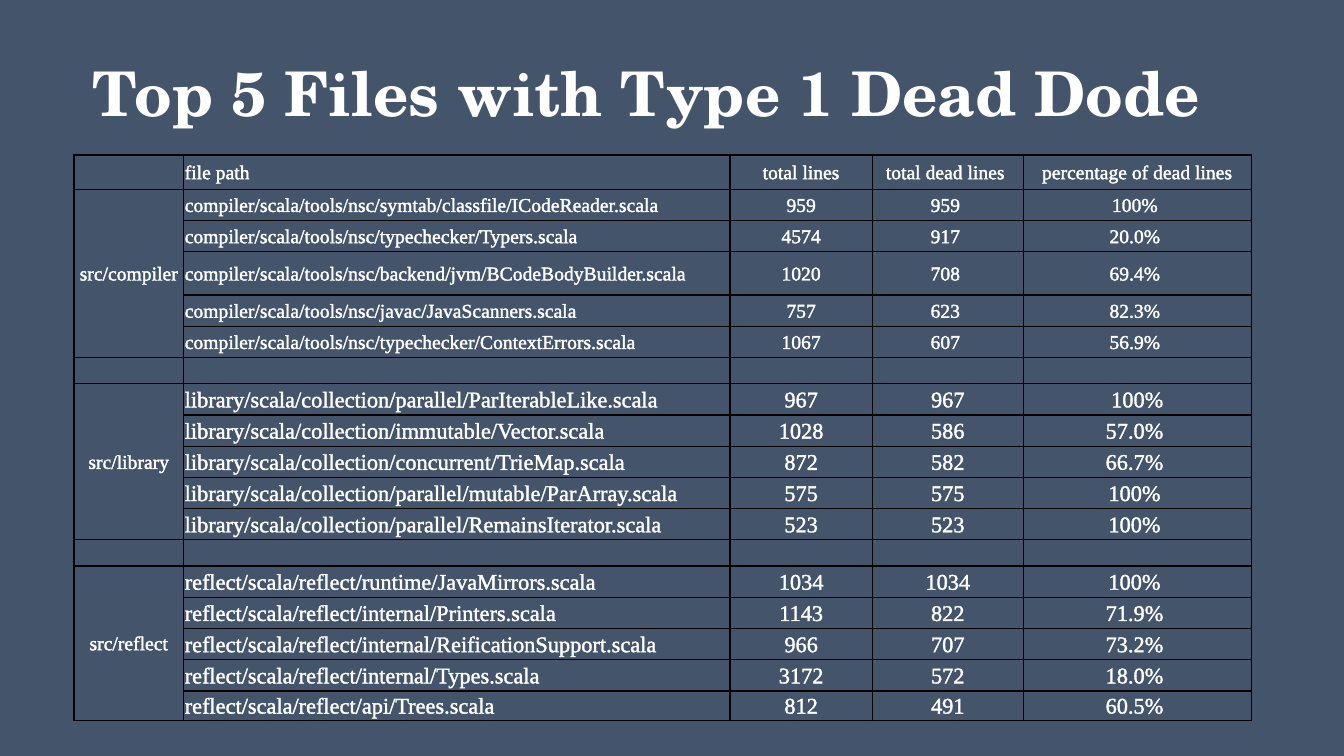
import dataclasses

import lxml.etree
import pptx
import pptx.dml.color
import pptx.enum.text
import pptx.oxml.ns
import pptx.util

W, H = 13.33, 7.5
ALIGN = pptx.enum.text.PP_ALIGN
MIDDLE = pptx.enum.text.MSO_ANCHOR.MIDDLE


@dataclasses.dataclass(frozen=True)
class Theme:
    """Colours, fonts and type sizes."""
    background: str = "44546A"
    text: str = "FFFFFF"
    border: str = "000000"
    title_font: str = "TeX Gyre Schola"
    table_font: str = "Times New Roman"
    title_size: int = 44
    label_size: int = 14
    large_size: int = 16
    border_width: float = 1
    outline_width: float = 0.75


THEME = Theme()
COLUMNS = [1.09, 5.42, 1.41, 1.5, 2.26]
HEADER_ROW, FILE_ROW, TALL_ROW, GAP_ROW, LAST_ROW = 0.34, 0.31, 0.43, 0.26, 0.29
HEADER = ["", "file path", "total lines", "total dead lines ", "percentage of dead lines"]
GROUPS = [
    ("src/compiler", THEME.label_size, [
        ("compiler/scala/tools/nsc/symtab/classfile/ICodeReader.scala", "959", "959 ", "100% "),
        ("compiler/scala/tools/nsc/typechecker/Typers.scala", "4574", "917 ", "20.0% "),
        ("compiler/scala/tools/nsc/backend/jvm/BCodeBodyBuilder.scala", "1020", "708 ", "69.4% "),
        ("compiler/scala/tools/nsc/javac/JavaScanners.scala", "757", "623 ", "82.3% "),
        ("compiler/scala/tools/nsc/typechecker/ContextErrors.scala", "1067", "607 ", "56.9% "),
    ]),
    ("src/library", THEME.large_size, [
        ("library/scala/collection/parallel/ParIterableLike.scala", "967", "967", "100%"),
        ("library/scala/collection/immutable/Vector.scala", "1028", "586", "57.0% "),
        ("library/scala/collection/concurrent/TrieMap.scala", "872", "582", "66.7% "),
        ("library/scala/collection/parallel/mutable/ParArray.scala", "575", "575", "100% "),
        ("library/scala/collection/parallel/RemainsIterator.scala", "523", "523", "100% "),
    ]),
    ("src/reflect", THEME.large_size, [
        ("reflect/scala/reflect/runtime/JavaMirrors.scala", "1034", "1034", "100% "),
        ("reflect/scala/reflect/internal/Printers.scala", "1143", "822", "71.9% "),
        ("reflect/scala/reflect/internal/ReificationSupport.scala", "966", "707", "73.2% "),
        ("reflect/scala/reflect/internal/Types.scala", "3172", "572", "18.0% "),
        ("reflect/scala/reflect/api/Trees.scala", "812", "491", "60.5% "),
    ]),
]


def rgb(colour):
    """Return a colour object for a hex string."""
    return pptx.dml.color.RGBColor.from_string(colour)


def share(x, y, w, h):
    """Turn shares of the slide into a box of lengths."""
    return [pptx.util.Inches(v) for v in (x * W, y * H, w * W, h * H)]


def make_line(tag, colour, width):
    """Return a solid line element."""
    qn = pptx.oxml.ns.qn
    line = lxml.etree.Element(qn(tag), w=str(pptx.util.Pt(width)))
    fill = lxml.etree.SubElement(line, qn("a:solidFill"))
    lxml.etree.SubElement(fill, qn("a:srgbClr"), val=colour)
    return line


def style_run(r, font, size):
    """Set the typeface, size and colour of a run."""
    r.font.name = font
    r.font.size = pptx.util.Pt(size)
    r.font.color.rgb = rgb(THEME.text)


def add_title(s, text, box):
    """Place the slide title in its box."""
    sp = s.shapes.title
    sp.left, sp.top, sp.width, sp.height = box
    tf = sp.text_frame
    tf.text = text
    tf.word_wrap = True
    tf.vertical_anchor = MIDDLE
    tf.margin_left = tf.margin_right = pptx.util.Inches(0.05)
    tf.margin_top = tf.margin_bottom = pptx.util.Inches(0.05)
    p = tf.paragraphs[0]
    p.alignment = ALIGN.LEFT
    p.line_spacing = 0.9
    style_run(p.runs[0], THEME.title_font, THEME.title_size)
    p.runs[0].font.bold = True


def fill_cell(cell, text, size, align):
    """Write a bordered cell with outlined text."""
    cell.vertical_anchor = MIDDLE
    cell.margin_left = cell.margin_right = cell.margin_top = pptx.util.Inches(0.01)
    cell.margin_bottom = 0
    tc_pr = cell._tc.get_or_add_tcPr()
    for side in "LRTB":
        tc_pr.append(make_line(f"a:ln{side}", THEME.border, THEME.border_width))
    cell.fill.background()
    cell.text_frame.text = text
    p = cell.text_frame.paragraphs[0]
    p.alignment = align
    for r in p.runs:
        style_run(r, THEME.table_font, size)
        r.font._element.insert(0, make_line("a:ln", THEME.text, THEME.outline_width))
    end = lxml.etree.SubElement(p._p, pptx.oxml.ns.qn("a:endParaRPr"))
    end.set("sz", str(size * 100))


def table_rows():
    """List each row as its height, type size and texts."""
    rows = [(HEADER_ROW, THEME.label_size, HEADER)]
    for label, size, files in GROUPS:
        if len(rows) > 1:
            rows.append((GAP_ROW, THEME.label_size, [""] * len(COLUMNS)))
        for i, values in enumerate(files):
            height = TALL_ROW if "BCodeBodyBuilder" in values[0] else FILE_ROW
            rows.append((height, size, ["" if i else label, *values]))
    rows[-1] = (LAST_ROW, *rows[-1][1:])
    return rows


def add_file_table(s, box):
    """Place the table of files, grouped by source folder."""
    rows = table_rows()
    total_height = sum(row[0] for row in rows)
    table = s.shapes.add_table(len(rows), len(COLUMNS), *box).table
    table.first_row = table.horz_banding = False
    for column, width in zip(table.columns, COLUMNS):
        column.width = int(box[2] * width / sum(COLUMNS))
    for i, (height, size, texts) in enumerate(rows):
        table.rows[i].height = int(box[3] * height / total_height)
        for j, text in enumerate(texts):
            align = ALIGN.LEFT if j == 1 else ALIGN.CENTER
            fill_cell(table.cell(i, j), text, size if j else THEME.label_size, align)
    first = 1
    for _, _, files in GROUPS:
        table.cell(first, 0).merge(table.cell(first + len(files) - 1, 0))
        first += len(files) + 1


def main():
    """Build and save the slide."""
    prs = pptx.Presentation()
    prs.slide_width, prs.slide_height = pptx.util.Inches(W), pptx.util.Inches(H)
    s = prs.slides.add_slide(prs.slide_layouts[5])
    s.background.fill.solid()
    s.background.fill.fore_color.rgb = rgb(THEME.background)
    add_title(s, "Top 5 Files with Type 1 Dead Dode", share(0.065, 0.012, 0.863, 0.232))
    add_file_table(s, share(0.055, 0.205, 0.876, 0.748))
    prs.save("out.pptx")


if __name__ == "__main__":
    main()
